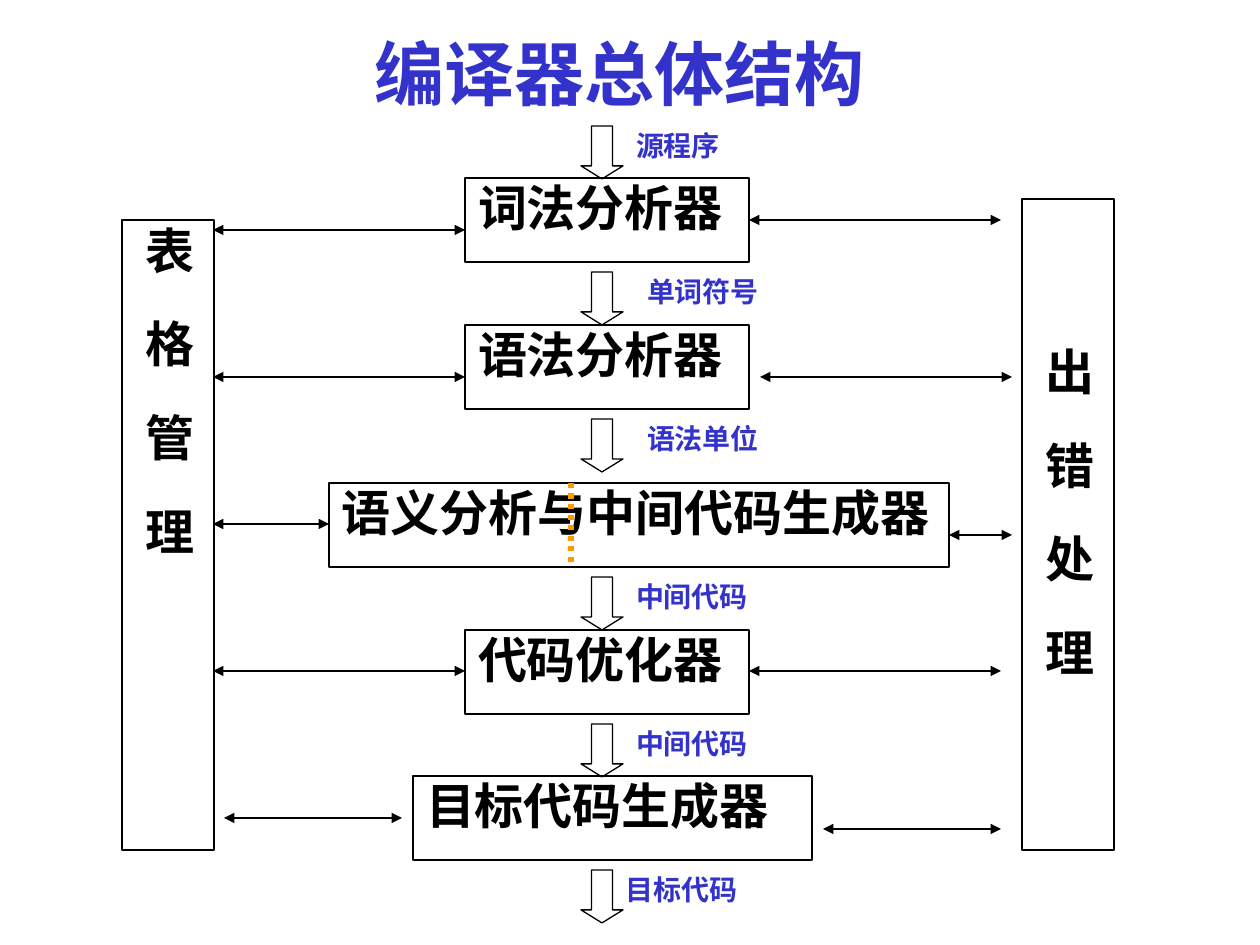
from pptx import Presentation
from pptx.dml.color import RGBColor
from pptx.enum.dml import MSO_LINE
from pptx.enum.shapes import MSO_CONNECTOR, MSO_SHAPE
from pptx.enum.text import MSO_ANCHOR, MSO_AUTO_SIZE, PP_ALIGN
from pptx.oxml.ns import qn
from pptx.util import Emu, Pt
from lxml.etree import SubElement

BLACK = RGBColor(0x00, 0x00, 0x00)
BLUE = RGBColor(0x33, 0x33, 0xCC)
ORANGE = RGBColor(0xFF, 0x99, 0x00)
WHITE = RGBColor(0xFF, 0xFF, 0xFF)


def px(n):
    return Emu(round(n * 914400 / 126))


class Diagram:
    font = "Noto Sans CJK JP"
    line_width = Pt(0.75)
    box_height = 84

    def __init__(self, slide):
        self.slide = slide
        fill = slide.background.fill
        fill.solid()
        fill.fore_color.rgb = WHITE

    def set_text(self, sp, text, size, color, spacing=0.9, insets=(13, 6, 13, 6)):
        tf = sp.text_frame
        tf.text = text
        tf.word_wrap = True
        tf.auto_size = MSO_AUTO_SIZE.NONE
        tf.vertical_anchor = MSO_ANCHOR.TOP
        tf.margin_left, tf.margin_top, tf.margin_right, tf.margin_bottom = map(px, insets)
        p = tf.paragraphs[0]
        p.alignment = PP_ALIGN.LEFT
        p.line_spacing = spacing
        r = p.runs[0]
        r.font.name = self.font
        r.font.size = Pt(size)
        r.font.bold = True
        r.font.color.rgb = color
        SubElement(r.font._element, qn("a:ea")).set("typeface", self.font)
        return tf

    def title(self, text, x, y, w, h):
        sp = self.slide.shapes.title
        sp.left, sp.top, sp.width, sp.height = map(px, (x, y, w, h))
        tf = self.set_text(sp, text, 40, BLUE, insets=(0, 0, 0, 0))
        tf.vertical_anchor = MSO_ANCHOR.BOTTOM
        tf.paragraphs[0].alignment = PP_ALIGN.CENTER

    def outline(self, kind, x, y, w, h):
        sp = self.slide.shapes.add_shape(kind, *map(px, (x, y, w, h)))
        sp.shadow.inherit = False
        sp.fill.background()
        sp.line.color.rgb = BLACK
        sp.line.width = self.line_width
        return sp

    def box(self, text, x, y, w):
        sp = self.outline(MSO_SHAPE.RECTANGLE, x, y, w, self.box_height)
        self.set_text(sp, text, 28, BLACK)

    def column(self, text, x, y, w, h, start):
        sp = self.outline(MSO_SHAPE.RECTANGLE, x, y, w, h)
        tf = self.set_text(sp, text, 28, BLACK, 1.0, (0, start, 0, 0))
        tf.vertical_anchor = MSO_ANCHOR.MIDDLE
        tf._txBody.bodyPr.set("vert", "eaVert")
        tf.paragraphs[0].runs[0].font._element.set("spc", "2570")

    def flow(self, text, y, label_x):
        sp = self.outline(MSO_SHAPE.DOWN_ARROW, 581, y, 42, 53)
        sp.adjustments[1] = 0.31
        label = self.slide.shapes.add_textbox(*map(px, (label_x, y, 168, 42)))
        self.set_text(label, text, 16, BLUE)

    def line(self, x1, y1, x2, y2, color=BLACK, width=line_width):
        s = self.slide.shapes.add_connector(
            MSO_CONNECTOR.STRAIGHT, *map(px, (x1, y1, x2, y2)))
        s.line.color.rgb = color
        s.line.width = width
        SubElement(s._element.spPr, qn("a:effectLst"))
        return s

    def link(self, x1, x2, y):
        ln = self.line(x1, y, x2, y).line._get_or_add_ln()
        for tag in ("a:headEnd", "a:tailEnd"):
            SubElement(ln, qn(tag)).set("type", "triangle")

    def divider(self, x, y):
        s = self.line(x, y, x, y + self.box_height, ORANGE, Pt(3))
        s.line.dash_style = MSO_LINE.ROUND_DOT


STAGES = [
    ("词法分析器", 465, 178, 284),
    ("语法分析器", 465, 325, 284),
    ("语义分析与中间代码生成器", 329, 483, 620),
    ("代码优化器", 465, 630, 284),
    ("目标代码生成器", 413, 776, 399),
]
FLOWS = [
    ("源程序", 126, 623),
    ("单词符号", 272, 634),
    ("语法单位", 419, 634),
    ("中间代码", 577, 623),
    ("中间代码", 724, 623),
    ("目标代码", 870, 613),
]
LINKS = [
    (213, 465, 230), (213, 465, 377), (213, 329, 524), (213, 465, 671), (224, 402, 818),
    (749, 1001, 220), (760, 1012, 377), (949, 1012, 535), (749, 1001, 671), (823, 1001, 829),
]


def main():
    prs = Presentation()
    prs.slide_width, prs.slide_height = px(1260), px(945)
    d = Diagram(prs.slides.add_slide(prs.slide_layouts[5]))
    d.title("编译器总体结构", 84, 21, 1071, 95)
    d.column("表格管理", 122, 220, 92, 630, 6)
    d.column("出错处理", 1022, 199, 92, 651, 148)
    for stage in STAGES:
        d.box(*stage)
    for flow in FLOWS:
        d.flow(*flow)
    for link in LINKS:
        d.link(*link)
    d.divider(571, 483)
    prs.save("out.pptx")


if __name__ == "__main__":
    main()
